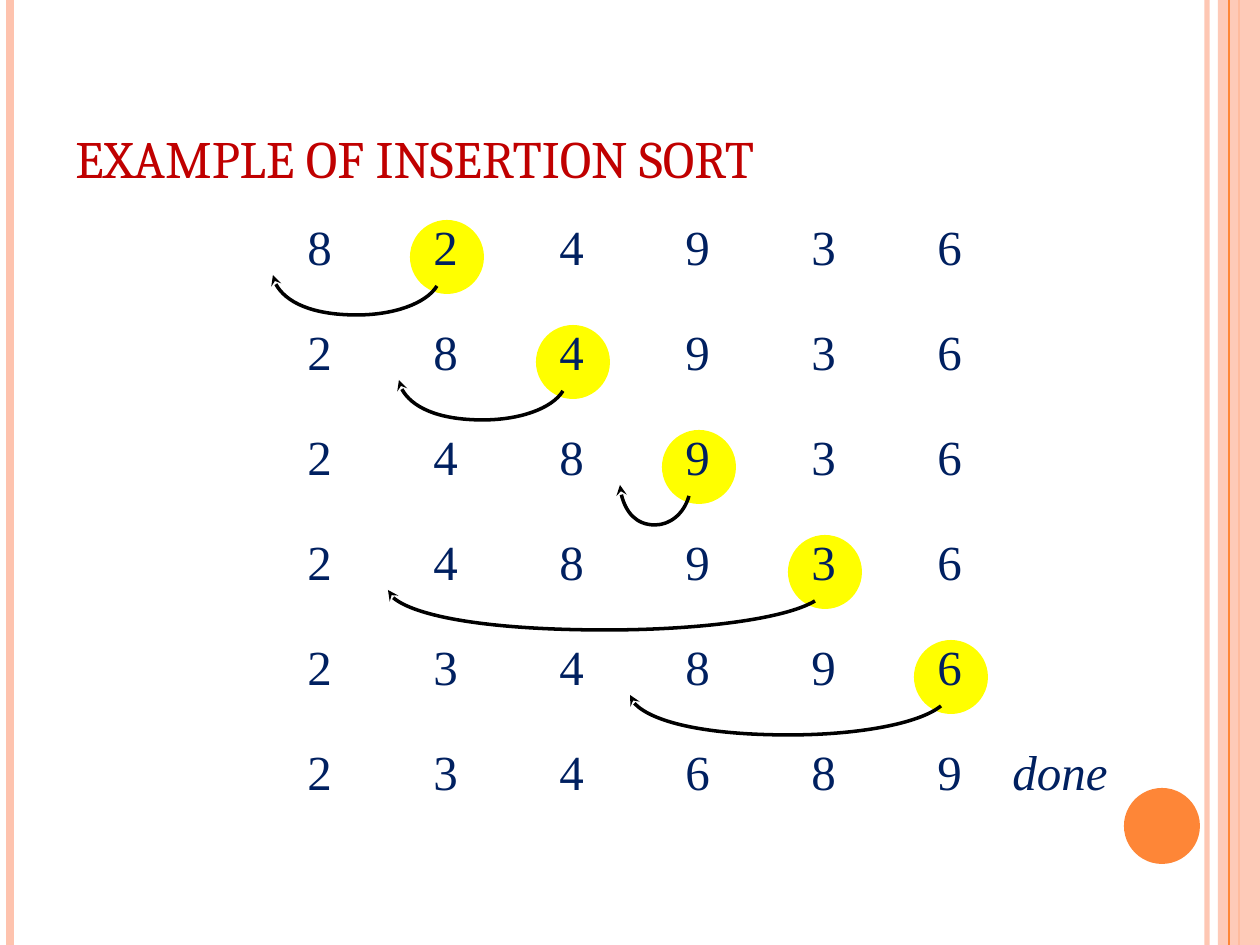
from dataclasses import dataclass

from pptx import Presentation
from pptx import util as u
from pptx.dml.color import RGBColor
from pptx.enum import shapes, text
from pptx.oxml.ns import qn
from lxml import etree

SCALE = 914400 / 126
PAGE = (1260, 945)


@dataclass(frozen=True)
class Theme:
    heading: str = "C00000"
    digit: str = "002060"
    marker: str = "FFFF00"
    arrow: str = "000000"
    accent: str = "FE8637"
    pale: str = "FEC3AE"
    heading_font: str = "Cambria"
    digit_font: str = "Times New Roman"
    heading_size: int = 30
    digit_size: int = 28


THEME = Theme()

# Values, column of the value being inserted, x of the place it moves to
STEPS = [
    ("824936", 1, 273),
    ("284936", 2, 399),
    ("248936", 3, 620),
    ("248936", 4, 388),
    ("234896", 5, 630),
    ("234689", None, None),
]


def emu(px):
    return u.Emu(round(px * SCALE))


def paint(fill, color, opacity=100):
    fill.solid()
    fill.fore_color.rgb = RGBColor.from_string(color)
    if opacity < 100:
        for node in fill._xPr.iter(qn("a:srgbClr")):
            etree.SubElement(node, qn("a:alpha"), val=str(opacity * 1000))


def add_filled(page, kind, box, color, opacity=100):
    shape = page.shapes.add_shape(kind, *map(emu, box))
    shape.shadow.inherit = False
    shape.line.fill.background()
    paint(shape.fill, color, opacity)


def add_stripe(page, x, color, width, opacity=100):
    """Draw a vertical line over the full height of the page."""
    line = page.shapes.add_connector(
        shapes.MSO_CONNECTOR.STRAIGHT, emu(x), 0, emu(x), emu(PAGE[1]))
    line.line.width = u.Pt(width)
    paint(line.line.fill, color, opacity)
    etree.SubElement(line.element.spPr, qn("a:effectLst"))


def add_text(page, box, words, font, size, color, italic=False):
    frame = page.shapes.add_textbox(*map(emu, box)).text_frame
    frame.word_wrap = False
    frame.auto_size = text.MSO_AUTO_SIZE.SHAPE_TO_FIT_TEXT
    para = frame.paragraphs[0]
    para.text = words
    para.font.name = font
    para.font.size = u.Pt(size)
    para.font.italic = italic
    para.font.color.rgb = RGBColor.from_string(color)
    return frame


def add_arc(page, left, right, top):
    """Draw a hanging curve from right to left, ending in an arrowhead."""
    controls = [(1, 12), (0.93, 30), (0.73, 41), (0.51, 41),
                (0.23, 41), (0.01, 23), (0, 1)]
    points = [(left + (right - left) * x, top + y) for x, y in controls]
    builder = page.shapes.build_freeform(*points[0], scale=SCALE)
    builder.add_line_segments(points[1:], close=False)
    arc = builder.convert_to_shape()

    # Every three line points become the controls and end of one Bézier curve
    segments = list(arc.element.iter(qn("a:lnTo")))
    for first in range(0, len(segments), 3):
        group = segments[first:first + 3]
        curve = etree.Element(qn("a:cubicBezTo"))
        group[0].addprevious(curve)
        for segment in group:
            curve.append(segment[0])
            segment.getparent().remove(segment)

    arc.shadow.inherit = False
    arc.fill.background()
    arc.line.width = u.Pt(2)
    paint(arc.line.fill, THEME.arrow)
    etree.SubElement(arc.line._get_or_add_ln(), qn("a:tailEnd"), type="stealth")


def add_frame(page):
    """Draw the stripes and the disc at the edges of the page."""
    width, height = PAGE
    add_stripe(page, width - 53, THEME.pale, 3, 93)
    add_stripe(page, 10, THEME.pale, 4.5)
    add_stripe(page, width - 21, THEME.accent, 1.5)
    add_filled(page, shapes.MSO_SHAPE.RECTANGLE,
               (width - 42, 0, 42, height), THEME.pale, 87)
    add_stripe(page, width - 31, THEME.accent, 0.75)
    add_filled(page, shapes.MSO_SHAPE.OVAL,
               (width - 136, height - 157, 76, 76), THEME.accent)


def add_title(page, box, words):
    frame = add_text(page, box, words, THEME.heading_font,
                     THEME.heading_size, THEME.heading)
    frame.auto_size = text.MSO_AUTO_SIZE.NONE
    frame.word_wrap = True
    frame.vertical_anchor = text.MSO_ANCHOR.BOTTOM


def add_digits(page, box, words, italic=False):
    add_text(page, box, words, THEME.digit_font, THEME.digit_size,
             THEME.digit, italic)


def add_step(page, box, values, moving, target):
    left, top, width, height = box
    pitch = width / len(values)
    if moving is not None:
        add_filled(page, shapes.MSO_SHAPE.OVAL,
                   (left + moving * pitch - 11, top + 10, 74, 74), THEME.marker)
    for column, value in enumerate(values):
        add_digits(page, (left + column * pitch, top, 49, height), value)
    if moving is not None:
        add_arc(page, target, left + moving * pitch + 16, top + 64)


def add_sort(page, box):
    left, top, width, height = box
    pitch = height / len(STEPS)
    for row, step in enumerate(STEPS):
        add_step(page, (left, top + row * pitch, width, 72), *step)
    add_digits(page, (left + width - 51, top + height - pitch, 120, 72),
               "done", italic=True)


def main():
    deck = Presentation()
    deck.slide_width, deck.slide_height = map(emu, PAGE)
    page = deck.slides.add_slide(deck.slide_layouts[6])
    add_frame(page)
    add_title(page, (63, 38, 1029, 157), "EXAMPLE OF INSERTION SORT")
    add_sort(page, (295, 210, 756, 630))
    deck.save("out.pptx")


if __name__ == "__main__":
    main()
